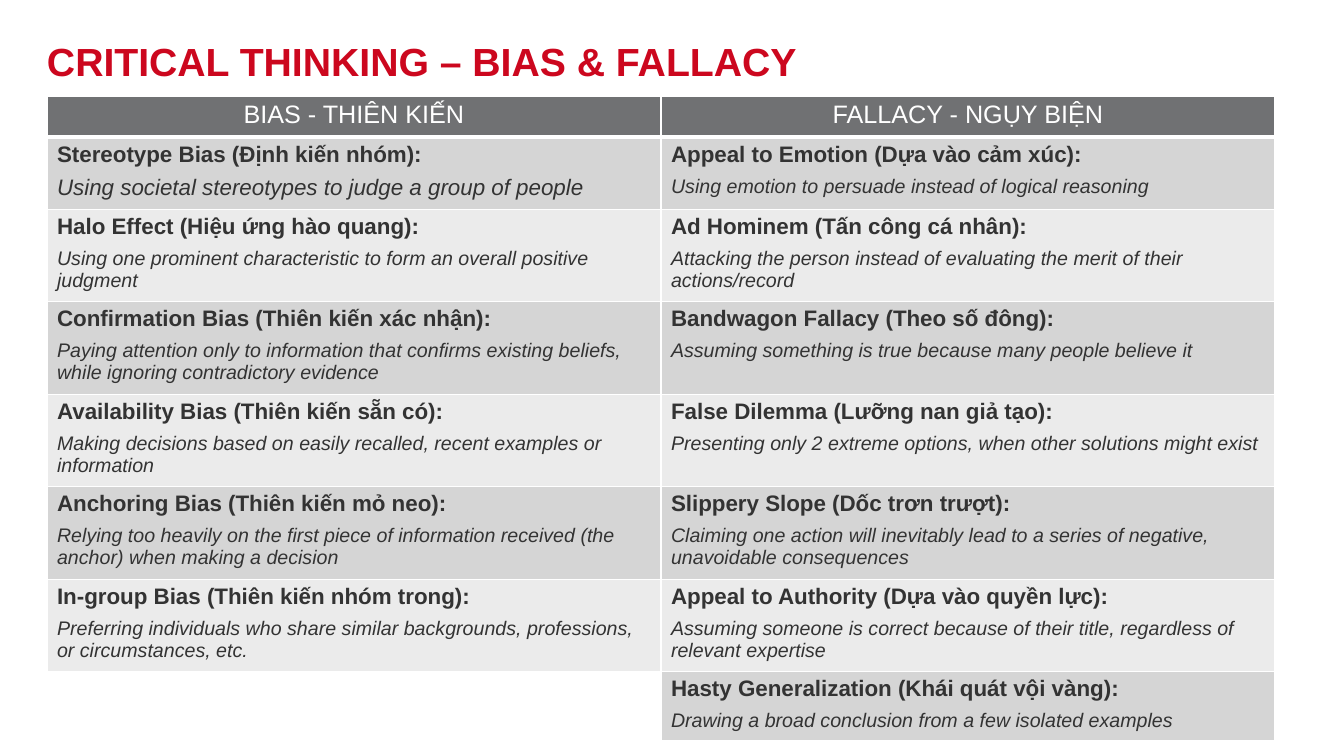
from dataclasses import dataclass

from lxml import etree
from pptx import Presentation
from pptx import util as u
from pptx.dml import color
from pptx.enum import text
from pptx.oxml import ns


@dataclass(frozen=True)
class Theme:
    face: str = "Arial"
    red: str = "CC071E"
    ink: str = "333333"
    white: str = "FFFFFF"
    head: str = "707173"
    bands: tuple = ("D5D5D5", "EBEBEB")
    title: int = 28
    label: int = 18
    term: int = 16
    note: int = 14
    gap: int = 6
    thin: int = 1
    thick: int = 3


PAIRS = [
    (("Stereotype Bias (Định kiến nhóm):",
      "Using societal stereotypes to judge a group of people"),
     ("Appeal to Emotion (Dựa vào cảm xúc):",
      "Using emotion to persuade instead of logical reasoning")),
    (("Halo Effect (Hiệu ứng hào quang):",
      "Using one prominent characteristic to form an overall positive judgment"),
     ("Ad Hominem (Tấn công cá nhân):",
      "Attacking the person instead of evaluating the merit of their actions/record")),
    (("Confirmation Bias (Thiên kiến xác nhận):",
      "Paying attention only to information that confirms existing beliefs, "
      "while ignoring contradictory evidence"),
     ("Bandwagon Fallacy (Theo số đông):",
      "Assuming something is true because many people believe it")),
    (("Availability Bias (Thiên kiến sẵn có):",
      "Making decisions based on easily recalled, recent examples or information"),
     ("False Dilemma (Lưỡng nan giả tạo):",
      "Presenting only 2 extreme options, when other solutions might exist")),
    (("Anchoring Bias (Thiên kiến mỏ neo):",
      "Relying too heavily on the first piece of information received "
      "(the anchor) when making a decision"),
     ("Slippery Slope (Dốc trơn trượt):",
      "Claiming one action will inevitably lead to a series of negative, "
      "unavoidable consequences")),
    (("In-group Bias (Thiên kiến nhóm trong):",
      "Preferring individuals who share similar backgrounds, professions, "
      "or circumstances, etc."),
     ("Appeal to Authority (Dựa vào quyền lực):",
      "Assuming someone is correct because of their title, regardless of "
      "relevant expertise")),
    (None,
     ("Hasty Generalization (Khái quát vội vàng):",
      "Drawing a broad conclusion from a few isolated examples")),
]


def px(n):
    return u.Emu(round(n * 914400 / 100.8))


class Deck:
    def __init__(self, theme):
        self.theme = theme
        self.show = Presentation()
        self.show.slide_width, self.show.slide_height = px(1344), px(756)
        self.slide = self.show.slides.add_slide(self.show.slide_layouts[6])

    def put(self, item, values):
        for key, value in values.items():
            setattr(item, key, value)

    def say(self, para, words, size, tint, **style):
        run = para.add_run()
        run.text = words
        base = {"name": self.theme.face, "size": u.Pt(size), "bold": False}
        self.put(run.font, base | style)
        run.font.color.rgb = color.RGBColor.from_string(tint)

    def title(self, words, box):
        frame = self.slide.shapes.add_textbox(*map(px, box)).text_frame
        self.put(frame, {"word_wrap": True,
                         "vertical_anchor": text.MSO_ANCHOR.MIDDLE,
                         "margin_left": 0, "margin_right": 0,
                         "margin_top": 0, "margin_bottom": 0})
        self.say(frame.paragraphs[0], words, self.theme.title,
                 self.theme.red, bold=True)

    def edge(self, cell, top, base):
        props = cell._tc.get_or_add_tcPr()
        sides = {"L": self.theme.thin, "R": self.theme.thin, "T": top, "B": base}
        for side, width in sides.items():
            line = etree.SubElement(props, ns.qn(f"a:ln{side}"),
                                    w=str(int(u.Pt(width))))
            fill = etree.SubElement(line, ns.qn("a:solidFill"))
            etree.SubElement(fill, ns.qn("a:srgbClr"), val=self.theme.white)

    def paint(self, cell, tint):
        cell.fill.solid()
        cell.fill.fore_color.rgb = color.RGBColor.from_string(tint)

    def label(self, cell, words):
        look = self.theme
        self.edge(cell, look.thin, look.thick)
        self.paint(cell, look.head)
        para = cell.text_frame.paragraphs[0]
        para.alignment = text.PP_ALIGN.CENTER
        self.say(para, words, look.label, look.white)

    def entry(self, cell, pair, row, size):
        look = self.theme
        if pair is None:
            self.paint(cell, look.white)
            return
        self.edge(cell, look.thick if row == 0 else look.thin, look.thin)
        self.paint(cell, look.bands[row % 2])
        frame = cell.text_frame
        term, note = frame.paragraphs[0], frame.add_paragraph()
        term.space_after = note.space_after = u.Pt(look.gap)
        self.say(term, pair[0], look.term, look.ink, bold=True)
        self.say(note, pair[1], size, look.ink, italic=True)

    def table(self, heads, pairs, left, top, width, height):
        rows, cols = len(pairs) + 1, len(heads)
        grid = self.slide.shapes.add_table(
            rows, cols, px(left), px(top),
            px(width * cols), px(height * rows)).table
        self.put(grid, {"first_row": False, "horz_banding": False})
        for col, words in enumerate(heads):
            self.label(grid.cell(0, col), words)
        for row, group in enumerate(pairs):
            for col, pair in enumerate(group):
                first = row == col == 0
                size = self.theme.term if first else self.theme.note
                self.entry(grid.cell(row + 1, col), pair, row, size)


def main():
    deck = Deck(Theme())
    deck.title("CRITICAL THINKING – BIAS & FALLACY", (47, 0, 1072, 121))
    deck.table(("BIAS - THIÊN KIẾN", "FALLACY - NGỤY BIỆN"), PAIRS,
               47, 96, 614, 41)
    deck.show.save("out.pptx")


if __name__ == "__main__":
    main()
